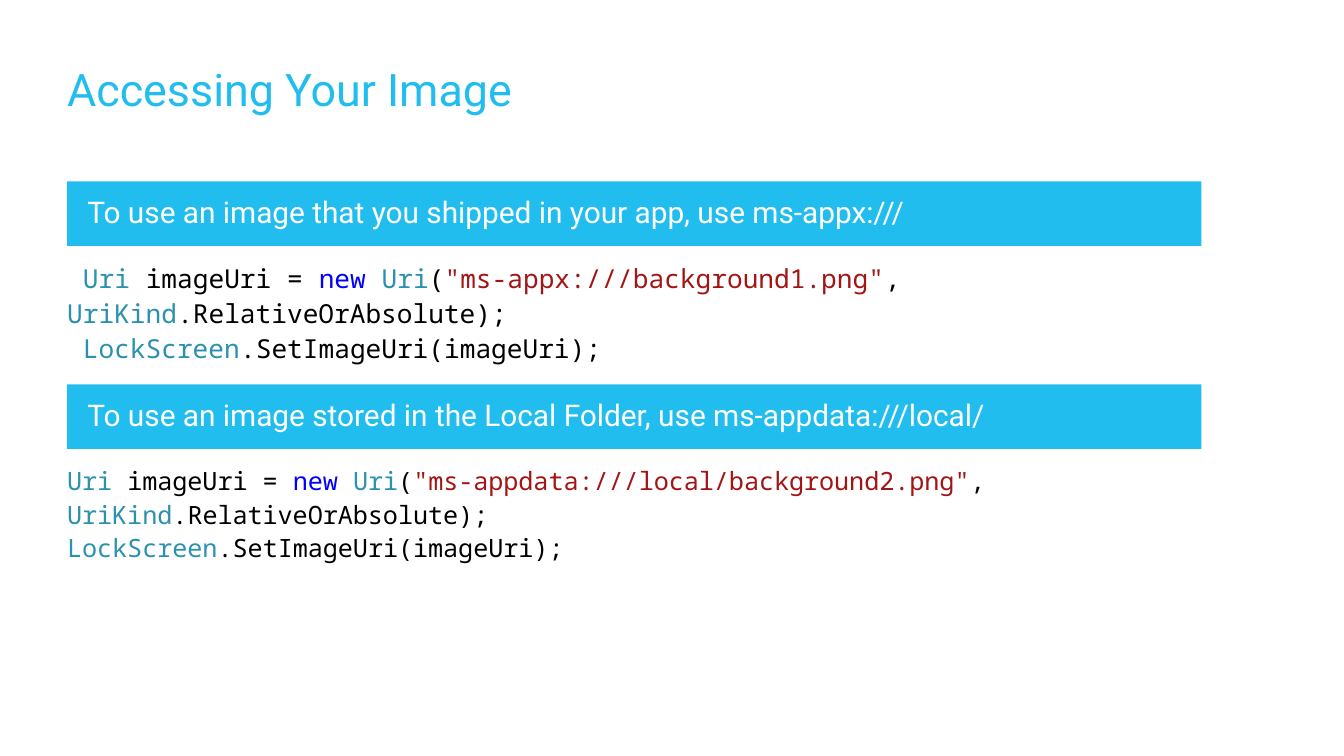
from dataclasses import dataclass

from pptx import Presentation
from pptx.dml.color import RGBColor
from pptx.enum.shapes import MSO_SHAPE
from pptx.enum.text import MSO_ANCHOR, MSO_AUTO_SIZE, PP_ALIGN
from pptx.slide import Slide
from pptx.text.text import Font, TextFrame
from pptx.util import Pt

RECTANGLE = MSO_SHAPE.RECTANGLE
MIDDLE, TOP = MSO_ANCHOR.MIDDLE, MSO_ANCHOR.TOP
FIT_SHAPE = MSO_AUTO_SIZE.SHAPE_TO_FIT_TEXT
LEFT_ALIGN = PP_ALIGN.LEFT

COLOURS = {
    "accent": "22BDEF",
    "white": "FFFFFF",
    "type": "2B91AF",
    "plain": "000000",
    "keyword": "0000FF",
    "string": "A31515",
}
BODY_FONT = "Roboto"
CODE_FONT = "Noto Sans Mono"
LEFT = 36
BAND_WIDTH, BAND_HEIGHT = 607.7, 34.6
CODE_OFFSET = 38.2


@dataclass
class Section:
    top: float
    heading: str
    address: str
    indent: str
    code_size: float
    code_width: float
    code_height: float


SECTIONS = [
    Section(97.2, "To use an image that you shipped in your app, use ms-appx:///",
            "ms-appx:///background1.png", " ", 14, 654.5, 49.7),
    Section(205.9, "To use an image stored in the Local Folder, use ms-appdata:///local/",
            "ms-appdata:///local/background2.png", "", 13.5, 684, 46.8),
]


def style_font(font: Font, name: str, size: float, colour: str) -> None:
    font.name = name
    font.size = Pt(size)
    font.color.rgb = RGBColor.from_string(COLOURS[colour])


def set_frame(frame: TextFrame, horizontal: float, vertical: float, anchor: MSO_ANCHOR) -> None:
    frame.word_wrap = True
    frame.margin_left = frame.margin_right = Pt(horizontal)
    frame.margin_top = frame.margin_bottom = Pt(vertical)
    frame.vertical_anchor = anchor


def draw_title(slide: Slide, text: str) -> None:
    box = slide.shapes.add_textbox(Pt(LEFT), Pt(31.7), Pt(648), Pt(28.1))
    frame = box.text_frame
    set_frame(frame, 0, 0, TOP)
    frame.auto_size = FIT_SHAPE
    frame.text = text
    paragraph = frame.paragraphs[0]
    paragraph.line_spacing = 1.05
    style_font(paragraph.runs[0].font, BODY_FONT, 24, "accent")


def draw_band(slide: Slide, section: Section) -> None:
    band = slide.shapes.add_shape(
        RECTANGLE, Pt(LEFT), Pt(section.top), Pt(BAND_WIDTH), Pt(BAND_HEIGHT))
    band.shadow.inherit = False
    band.fill.solid()
    band.fill.fore_color.rgb = RGBColor.from_string(COLOURS["accent"])
    band.line.fill.background()
    frame = band.text_frame
    set_frame(frame, 10.8, 7.2, MIDDLE)
    frame.text = section.heading
    paragraph = frame.paragraphs[0]
    paragraph.alignment = LEFT_ALIGN
    paragraph.line_spacing = 0.9
    paragraph.space_after = Pt(12)
    style_font(paragraph.runs[0].font, BODY_FONT, 16, "white")


def code_lines(section: Section) -> list[list[tuple[str, str]]]:
    return [
        [(section.indent + "Uri", "type"), (" imageUri = ", "plain"), ("new", "keyword"),
         (" ", "plain"), ("Uri", "type"), ("(", "plain"),
         (f'"{section.address}"', "string"), (", ", "plain"),
         ("UriKind", "type"), (".RelativeOrAbsolute);", "plain")],
        [(section.indent + "LockScreen", "type"), (".SetImageUri(imageUri);", "plain")],
    ]


def draw_code(slide: Slide, section: Section) -> None:
    box = slide.shapes.add_textbox(
        Pt(LEFT), Pt(section.top + CODE_OFFSET),
        Pt(section.code_width), Pt(section.code_height))
    frame = box.text_frame
    set_frame(frame, 0, 3.6, TOP)
    frame.auto_size = FIT_SHAPE
    paragraph = frame.paragraphs[0]
    paragraph.line_spacing = 1.11
    for index, line in enumerate(code_lines(section)):
        if index:
            paragraph.add_line_break()
        for text, colour in line:
            run = paragraph.add_run()
            run.text = text
            style_font(run.font, CODE_FONT, section.code_size, colour)


def main() -> None:
    presentation = Presentation()
    presentation.slide_width = Pt(720)
    presentation.slide_height = Pt(405)
    slide = presentation.slides.add_slide(presentation.slide_layouts[6])
    draw_title(slide, "Accessing Your Image")
    for section in SECTIONS:
        draw_band(slide, section)
        draw_code(slide, section)
    presentation.save("out.pptx")


if __name__ == "__main__":
    main()
